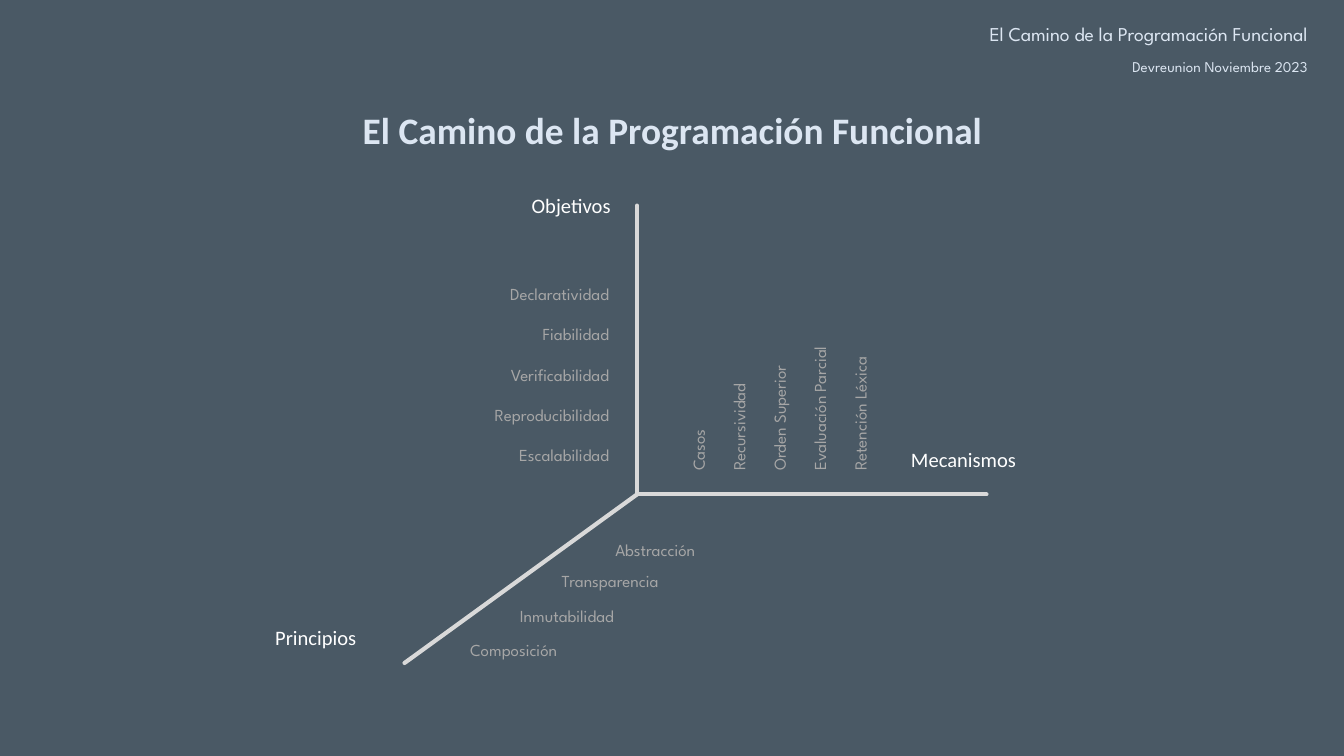
from lxml import etree
from pptx import Presentation
from pptx.dml.color import RGBColor
from pptx.enum.shapes import MSO_CONNECTOR, MSO_SHAPE
from pptx.enum.text import MSO_ANCHOR, MSO_AUTO_SIZE, PP_ALIGN
from pptx.oxml.ns import qn
from pptx.util import Inches, Pt

LEFT, CENTER, RIGHT = PP_ALIGN.LEFT, PP_ALIGN.CENTER, PP_ALIGN.RIGHT
TOP, GROW = MSO_ANCHOR.TOP, MSO_AUTO_SIZE.SHAPE_TO_FIT_TEXT
SLATE = RGBColor(0x2B, 0x3C, 0x4B)
PALE = RGBColor(0xDC, 0xE6, 0xF2)
AXIS = RGBColor(0xD9, 0xD9, 0xD9)
WHITE = RGBColor(0xFF, 0xFF, 0xFF)
GREY = RGBColor(0xA6, 0xA6, 0xA6)
SPARTAN, CALIBRI = "League Spartan", "Calibri"

prs = Presentation()
prs.slide_width, prs.slide_height = Inches(10), Inches(5.625)
s = prs.slides.add_slide(prs.slide_layouts[5])
# Grid of 100 columns by 100 rows
COL, ROW = prs.slide_width / 100, prs.slide_height / 100


def box(x, y, w, h):
    return int(x * COL), int(y * ROW), int(w * COL), int(h * ROW)


def write(sp, lines, size=9, font=SPARTAN, color=GREY, align=LEFT,
          spacing=None, bold=False, wrap=True, grow=True):
    tf = sp.text_frame
    tf.word_wrap, tf.vertical_anchor = wrap, TOP
    tf.auto_size = GROW if grow else MSO_AUTO_SIZE.NONE
    for i, line in enumerate(lines):
        p = tf.paragraphs[0] if i == 0 else tf.add_paragraph()
        p.alignment, p.line_spacing = align, spacing
        r = p.add_run()
        r.text = line
        r.font.size, r.font.name, r.font.bold = Pt(size), font, bold
        r.font.color.rgb = color
    return sp


# Translucent backdrop, behind the title
sp = s.shapes.add_shape(MSO_SHAPE.RECTANGLE, *box(0, 0, 100, 100))
sp.shadow.inherit = False
sp.fill.solid()
sp.fill.fore_color.rgb = SLATE
sp.line.fill.background()
color = sp.fill._xPr.find(qn("a:solidFill"))[0]
etree.SubElement(color, qn("a:alpha")).set("val", "85000")
s.shapes._spTree.insert(2, sp._element)

# Title
title = s.shapes.title
title.left, title.top, title.width, title.height = box(25.8, 13.33, 48.5, 7.82)
write(title, ["El Camino de la Programación Funcional"], size=20, font=CALIBRI,
      color=PALE, align=CENTER, bold=True, wrap=False)

# Running header
sp = s.shapes.add_textbox(*box(60.8, 2.67, 37.5, 6.22))
write(sp, ["El Camino de la Programación Funcional", "Devreunion Noviembre 2023"],
      color=PALE, align=RIGHT, grow=False)
for p, size, leading in zip(sp.text_frame.paragraphs, (10.5, 8), (10, 14.6)):
    p.runs[0].font.size, p.line_spacing = Pt(size), Pt(leading)
    p.space_before = Pt(size * 0.2)

# Three axes from a common origin, each with its name
ORIGIN = (47.4, 65.4)
axes = [("Objetivos", (47.4, 27.2), (36.5, 24.7)),
        ("Mecanismos", (73.4, 65.4), (65.7, 58.3)),
        ("Principios", (30.1, 87.7), (17.5, 81.8))]
for name, end, label in axes:
    line = s.shapes.add_connector(MSO_CONNECTOR.STRAIGHT, *box(*ORIGIN, *end))
    line.line.color.rgb, line.line.width = AXIS, Pt(2.25)
    line.line._get_or_add_ln().set("cap", "rnd")
    etree.SubElement(line._element.spPr, qn("a:effectLst"))
    sp = s.shapes.add_textbox(*box(*label, 12, 5.16))
    write(sp, [name], size=11, font=CALIBRI, color=WHITE, align=CENTER)

# Goals beside the vertical axis
write(s.shapes.add_textbox(*box(32, 33.95, 14.3, 27.9)),
      ["Declaratividad", "Fiabilidad", "Verificabilidad", "Reproducibilidad",
       "Escalabilidad"], align=RIGHT, spacing=2.0)

# Mechanisms standing on the horizontal axis
sp = write(s.shapes.add_textbox(*box(49.9, 37.35, 14.3, 27.9)),
           ["Casos", "Recursividad", "Orden Superior", "Evaluación Parcial",
            "Retención Léxica"], spacing=2.0)
sp.rotation = 270

# Principles along the diagonal axis
principles = [("Abstracción", 44.8, 67.9), ("Transparencia", 40.8, 72),
              ("Inmutabilidad", 37.7, 76.6), ("Composición", 34, 81.1)]
for name, x, y in principles:
    write(s.shapes.add_textbox(*box(x, y, 14.3, 6.4)), [name], spacing=2.0)

prs.save("out.pptx")
